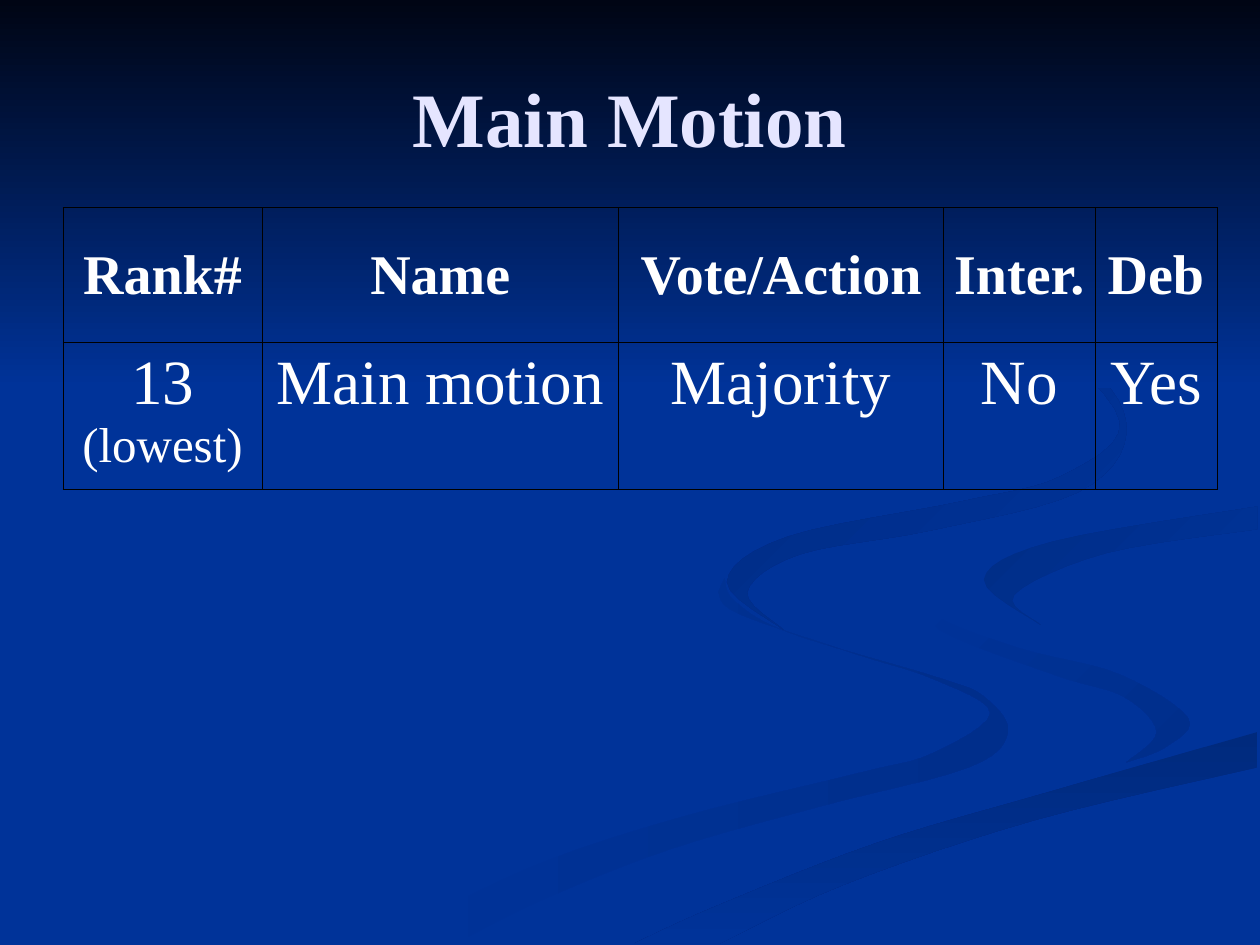
"""Build the Main Motion slide: a ranked-motion table over flowing ribbons."""
from dataclasses import dataclass

from lxml import etree
from pptx import Presentation
from pptx.dml.color import RGBColor
from pptx.enum.shapes import MSO_SHAPE
from pptx.enum.text import MSO_ANCHOR, PP_ALIGN
from pptx.oxml.ns import qn
from pptx.util import Pt

RECTANGLE = MSO_SHAPE.RECTANGLE
CENTER = PP_ALIGN.CENTER
MIDDLE, TOP = MSO_ANCHOR.MIDDLE, MSO_ANCHOR.TOP
FONT = "Times New Roman"
GRID = 0.72
CURVE_STEPS = 6
COLORS = {
    "background": "003399",
    "night": "000514",
    "title": "E5E5FF",
    "text": "FFFFFF",
    "border": "000000",
    "upper_stream": "002B82",
    "lower_stream": "002E8B",
    "river_mouth": "002A7D",
    "side_bend": "002D86",
}
COLUMN_WIDTHS = (113.76, 203.76, 185.76, 86.4, 69.84)
ROW_HEIGHT = 77.2
CELL_MARGINS = {"margin_left": 5.6, "margin_right": 5.6, "margin_top": 3.6, "margin_bottom": 3.6}


@dataclass
class Ribbon:
    """Two banks of a stream on the 1000 by 750 slide grid, with its gradient."""
    start: str
    end: str
    angle: int
    near_bank: tuple
    far_bank: tuple


@dataclass
class Phrase:
    """Text with one size and weight."""
    text: str
    size: int
    bold: bool = False


RIBBONS = (
    Ribbon("background", "lower_stream", 0,
           ((575, 459), (583, 477), (626, 502), (745, 538), (781, 553), (800, 581),
            (769, 609), (651, 640), (532, 674), (431, 714), (361, 749)),
           ((300, 749), (417, 690), (539, 649), (684, 613), (740, 598), (786, 566),
            (741, 539), (679, 519), (586, 487), (570, 470))),
    Ribbon("background", "lower_stream", 45,
           ((724, 464), (745, 490), (811, 515), (888, 535), (943, 570), (925, 593), (894, 605)),
           ((894, 605), (918, 581), (892, 553), (838, 536), (746, 500), (724, 466))),
    Ribbon("river_mouth", "background", 90,
           ((503, 749), (569, 719), (696, 669), (831, 629), (998, 581)),
           ((998, 609), (821, 651), (670, 702), (571, 749))),
    Ribbon("side_bend", "background", 45,
           ((826, 496), (781, 460), (835, 430), (998, 402)),
           ((998, 420), (878, 439), (805, 472), (826, 496))),
    Ribbon("upper_stream", "background", 45,
           ((762, 233), (864, 291), (894, 344), (855, 391), (739, 421), (635, 440),
            (593, 470), (622, 500)),
           ((622, 500), (577, 462), (625, 426), (763, 398), (842, 378), (889, 335),
            (826, 266), (762, 233))),
)

ROWS = (
    tuple((Phrase(heading, 32, True),) for heading in ("Rank#", "Name", "Vote/Action", "Inter.", "Deb")),
    ((Phrase("13 ", 36), Phrase("(lowest)", 28)),)
    + tuple((Phrase(entry, 36),) for entry in ("Main motion", "Majority", "No", "Yes")),
)


def rgb(name: str) -> RGBColor:
    """Look up a colour by its role."""
    return RGBColor.from_string(COLORS[name])


def blend(a: float, b: float, c: float, d: float, t: float) -> float:
    """Interpolate from b to c along a Catmull-Rom curve."""
    return b + t / 2 * (c - a + t * (2 * a - 5 * b + 4 * c - d + t * (3 * (b - c) + d - a)))


def smooth_bank(knots: tuple) -> list:
    """Sample a smooth curve through the knots of one bank."""
    padded = (knots[0], *knots, knots[-1])
    curve = [
        tuple(blend(*axis, step / CURVE_STEPS) for axis in zip(*padded[index:index + 4]))
        for index in range(len(knots) - 1)
        for step in range(CURVE_STEPS)
    ]
    return curve + [knots[-1]]


def shade(shape, start: str, end: str, angle: int) -> None:
    """Fill a borderless shape with a two-colour gradient."""
    shape.shadow.inherit = False
    shape.line.fill.background()
    shape.fill.gradient()
    shape.fill.gradient_angle = -angle % 360
    for stop, position, name in zip(shape.fill.gradient_stops, (0, 1), (start, end)):
        stop.position = position
        stop.color.rgb = rgb(name)


def draw_ribbon(slide, ribbon: Ribbon) -> None:
    """Draw one stream between its banks."""
    outline = smooth_bank(ribbon.near_bank) + smooth_bank(ribbon.far_bank)
    corners = [(Pt(x * GRID), Pt(y * GRID)) for x, y in outline]
    builder = slide.shapes.build_freeform(*corners[0], scale=1.0)
    builder.add_line_segments(corners[1:], close=True)
    shade(builder.convert_to_shape(), ribbon.start, ribbon.end, ribbon.angle)


def write_phrases(frame, phrases: tuple, color: str) -> None:
    """Write centred phrases into the first paragraph."""
    paragraph = frame.paragraphs[0]
    paragraph.alignment = CENTER
    for phrase in phrases:
        run = paragraph.add_run()
        run.text = phrase.text
        run.font.color.rgb = rgb(color)
        formats = {"name": FONT, "size": Pt(phrase.size), "bold": phrase.bold}
        for attribute, value in formats.items():
            setattr(run.font, attribute, value)


def outline_cell(cell) -> None:
    """Give a cell thin borders on all four sides."""
    properties = cell._tc.get_or_add_tcPr()
    for side in ("lnL", "lnR", "lnT", "lnB"):
        line = etree.SubElement(properties, qn(f"a:{side}"), w=str(Pt(0.45)))
        fill = etree.SubElement(line, qn("a:solidFill"))
        etree.SubElement(fill, qn("a:srgbClr"), val=COLORS["border"])


def draw_title(slide) -> None:
    """Add the slide title."""
    title = slide.shapes.add_textbox(Pt(36), Pt(21.6), Pt(648), Pt(90))
    title.text_frame.word_wrap = True
    title.text_frame.vertical_anchor = MIDDLE
    write_phrases(title.text_frame, (Phrase("Main Motion", 44, True),), "title")


def draw_motions(slide) -> None:
    """Add the table of motions."""
    motions = slide.shapes.add_table(
        len(ROWS), len(COLUMN_WIDTHS), Pt(36), Pt(118.6),
        Pt(sum(COLUMN_WIDTHS)), Pt(ROW_HEIGHT * len(ROWS))).table
    motions.first_row = motions.horz_banding = False
    for column, width in zip(motions.columns, COLUMN_WIDTHS):
        column.width = Pt(width)
    for row, entries, anchor in zip(motions.rows, ROWS, (MIDDLE, TOP)):
        row.height = Pt(ROW_HEIGHT)
        for cell, phrases in zip(row.cells, entries):
            outline_cell(cell)
            cell.fill.background()
            cell.vertical_anchor = anchor
            for margin, value in CELL_MARGINS.items():
                setattr(cell, margin, Pt(value))
            write_phrases(cell.text_frame, phrases, "text")


def main() -> None:
    """Build and save the presentation."""
    deck = Presentation()
    deck.slide_width, deck.slide_height = Pt(720), Pt(540)
    slide = deck.slides.add_slide(deck.slide_layouts[6])
    slide.background.fill.solid()
    slide.background.fill.fore_color.rgb = rgb("background")
    for ribbon in RIBBONS:
        draw_ribbon(slide, ribbon)
    night_sky = slide.shapes.add_shape(RECTANGLE, 0, 0, Pt(720), Pt(221.76))
    shade(night_sky, "night", "background", 90)
    draw_title(slide)
    draw_motions(slide)
    deck.save("out.pptx")


if __name__ == "__main__":
    main()
